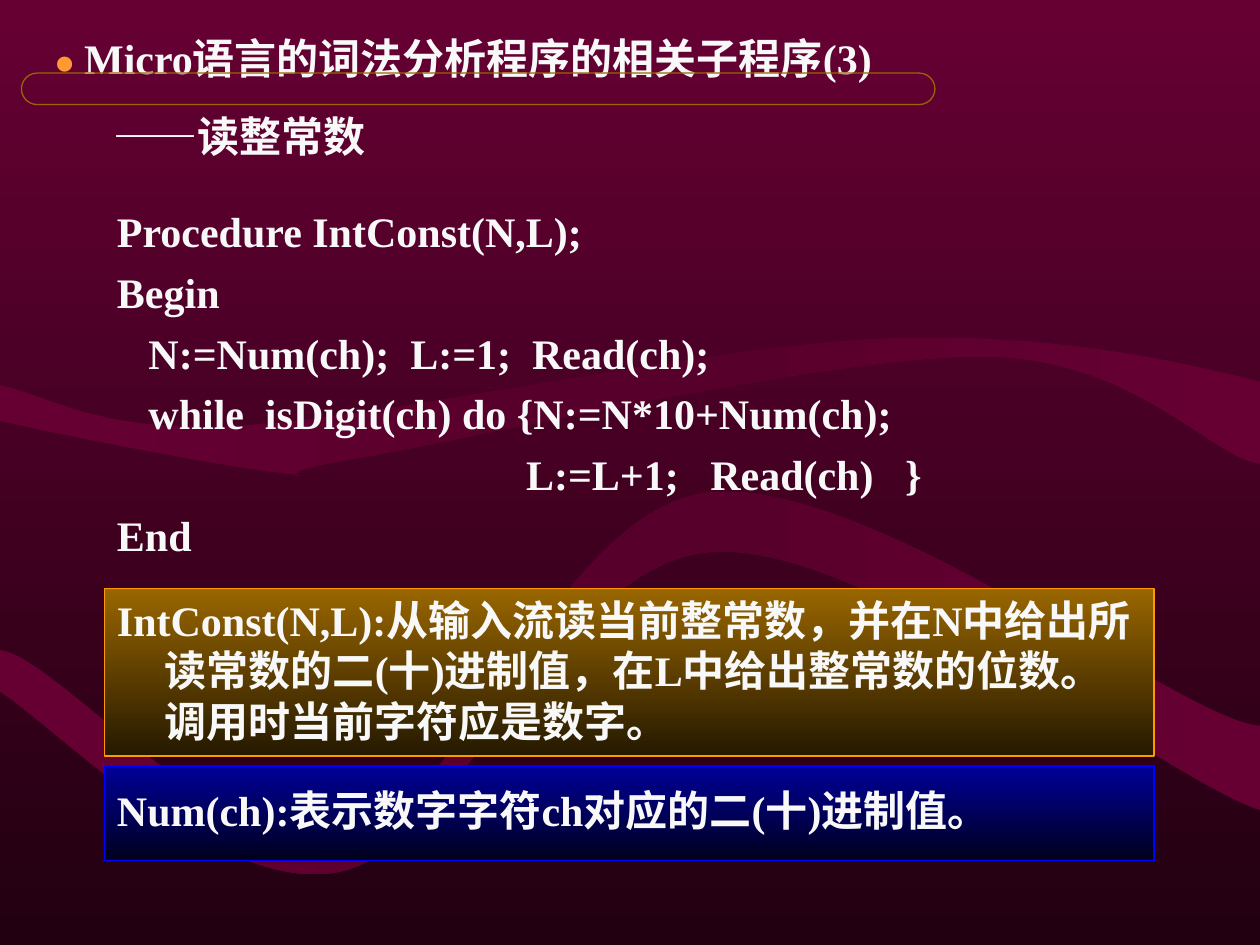
from copy import deepcopy
from lxml import etree
from pptx import Presentation
from pptx.dml.color import RGBColor
from pptx.enum.shapes import MSO_SHAPE
from pptx.enum.text import MSO_ANCHOR, PP_ALIGN
from pptx.oxml.ns import qn
from pptx.util import Inches, Pt

RECT, PILL = MSO_SHAPE.RECTANGLE, MSO_SHAPE.ROUNDED_RECTANGLE
TOP, MIDDLE = MSO_ANCHOR.TOP, MSO_ANCHOR.MIDDLE
LEFT = PP_ALIGN.LEFT
FONT, WHITE = "Times New Roman", "F8F8F8"

# Content
TITLE = [("● ", 20, "FF9933"), ("Micro语言的词法分析程序的相关子程序(3)", 24, WHITE)]
SUBTITLE = "——读整常数"
CODE = [
    "Procedure IntConst(N,L);",
    "Begin",
    "   N:=Num(ch);  L:=1;  Read(ch);",
    "   while  isDigit(ch) do {N:=N*10+Num(ch);",
    "                                       L:=L+1;   Read(ch)   }",
    "End",
]
INT_NOTE = "IntConst(N,L):从输入流读当前整常数，并在N中给出所读常数的二(十)进制值，在L中给出整常数的位数。调用时当前字符应是数字。"
NUM_NOTE = "Num(ch):表示数字字符ch对应的二(十)进制值。"

# Background ribbons: two numbers are a line end, six a Bezier curve
RIBBONS = [
    [(0, 3.06), (0, 3.34), (0.37, 3.43, 1.75, 3.7, 2.22, 3.75),
     (2.69, 3.8, 1.9, 3.79, 2.82, 3.64), (3.75, 3.48, 6.6, 2.82, 7.8, 2.83),
     (9, 2.83, 9.63, 3.65, 10, 3.68), (10, 3.03),
     (9.5, 2.9, 8.36, 2.63, 7.01, 2.69), (5.66, 2.74, 3.07, 3.32, 1.9, 3.38),
     (0.73, 3.44, 0.4, 3.13, 0, 3.06)],
    [(0, 5.16), (0, 5.49), (0.45, 5.78, 1.74, 7.11, 2.69, 6.92),
     (3.63, 6.74, 4.43, 4.46, 5.65, 4.38), (6.87, 4.29, 9.27, 6.2, 10, 6.43),
     (10, 5.76), (9.38, 5.72, 6.91, 3.77, 5.62, 3.91),
     (4.41, 4.06, 3.67, 6.46, 2.73, 6.67), (1.79, 6.87, 0.45, 5.2, 0, 5.16)],
]


def color(value):
    return RGBColor.from_string(value)


def set_gradient(fill, colors, angle):
    fill.gradient()
    fill.gradient_angle = angle
    stop_list = fill.gradient_stops[0]._gs.getparent()
    while len(stop_list) < len(colors):
        stop_list.append(deepcopy(stop_list[-1]))
    for index, (stop, value) in enumerate(zip(fill.gradient_stops, colors)):
        stop.color.rgb = color(value)
        stop.position = index / (len(colors) - 1)


def add_ribbon(page, segments):
    points = [(Inches(segment[i]), Inches(segment[i + 1]))
              for segment in segments for i in range(0, len(segment), 2)]
    builder = page.shapes.build_freeform(*points[0])
    builder.add_line_segments(points[1:], close=True)
    ribbon = builder.convert_to_shape()
    ribbon.shadow.inherit = False
    ribbon.line.fill.background()
    set_gradient(ribbon.fill, ["660033", "56002B", "660033"], 0)

    # Turn each group of three lines into one curve
    lines = iter(list(ribbon._element.iter(qn("a:lnTo"))))
    for segment in segments[1:]:
        line = next(lines)
        if len(segment) == 6:
            curve = etree.Element(qn("a:cubicBezTo"))
            line.addprevious(curve)
            for part in (line, next(lines), next(lines)):
                curve.append(part[0])
                part.getparent().remove(part)


def add_span(para, text, size=24, value=WHITE):
    span = para.add_run()
    span.text = text
    font = span.font
    font.name, font.size, font.bold = FONT, Pt(size), True
    font.color.rgb = color(value)


def write(box, lines, anchor=TOP, hanging=0, before=0, spacing=None, wrap=True):
    frame = box.text_frame
    frame.word_wrap = wrap
    frame.vertical_anchor = anchor
    for index, line in enumerate(lines):
        para = frame.add_paragraph() if index else frame.paragraphs[0]
        para.alignment = LEFT
        para.line_spacing = spacing
        if index:
            para.space_before = Pt(before)
        if hanging:
            properties = para._p.get_or_add_pPr()
            properties.set("marL", str(Inches(hanging)))
            properties.set("indent", str(-Inches(hanging)))
        add_span(para, line)


def add_text(page, area, lines, **options):
    write(page.shapes.add_textbox(*map(Inches, area)), lines, **options)


def add_panel(page, kind, area, line):
    panel = page.shapes.add_shape(kind, *map(Inches, area))
    panel.shadow.inherit = False
    panel.line.color.rgb = color(line)
    panel.line.width = Pt(0.75)
    return panel


def main():
    deck = Presentation()
    deck.slide_width, deck.slide_height = Inches(10), Inches(7.5)
    page = deck.slides.add_slide(deck.slide_layouts[5])
    set_gradient(page.background.fill, ["660033", "220011"], 270)
    for segments in RIBBONS:
        add_ribbon(page, segments)

    # Title, brought in front of the ribbons
    title = page.shapes.title
    page.shapes._spTree.append(title._element)
    title.left, title.top, title.width, title.height = map(Inches, (0.33, 0.17, 9.08, 0.58))
    title.text_frame.vertical_anchor = MIDDLE
    title.text_frame.word_wrap = True
    heading = title.text_frame.paragraphs[0]
    heading.alignment = LEFT
    for text, size, value in TITLE:
        add_span(heading, text, size, value)

    # Explanations and code
    int_panel = add_panel(page, RECT, (0.83, 4.67, 8.33, 1.33), "FF9900")
    set_gradient(int_panel.fill, ["996600", "251900"], 270)
    write(int_panel, [INT_NOTE], hanging=0.38)
    add_text(page, (0.83, 1.58, 7.92, 3), CODE, hanging=0.38, before=6)
    num_panel = add_panel(page, RECT, (0.83, 6.08, 8.33, 0.75), "0000FF")
    set_gradient(num_panel.fill, ["000099", "00001C"], 270)
    write(num_panel, [NUM_NOTE], anchor=MIDDLE, spacing=0.9)

    # Title underline and subtitle
    pill = add_panel(page, PILL, (0.17, 0.58, 7.25, 0.25), "996600")
    pill.adjustments[0] = 0.5
    pill.fill.background()
    add_text(page, (0.8, 0.83, 2.2, 0.5), [SUBTITLE], wrap=False)

    deck.save("out.pptx")


if __name__ == "__main__":
    main()
